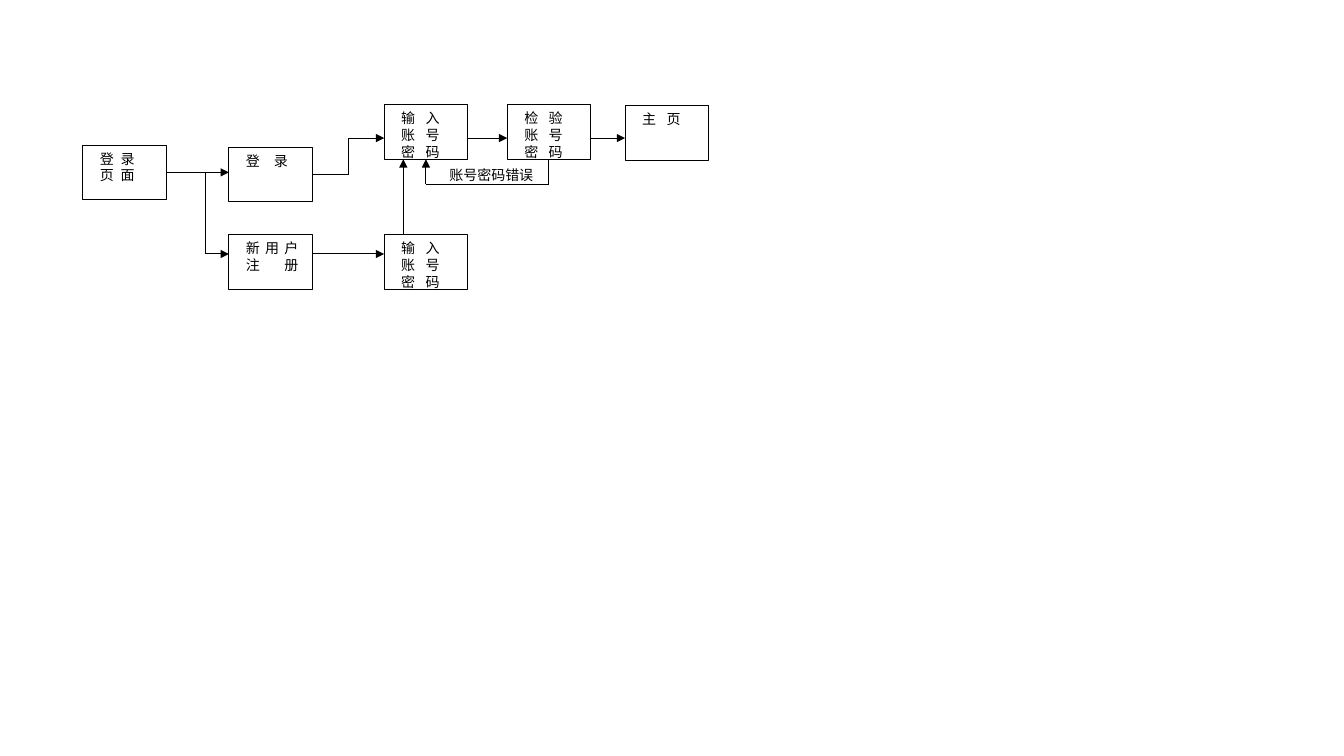
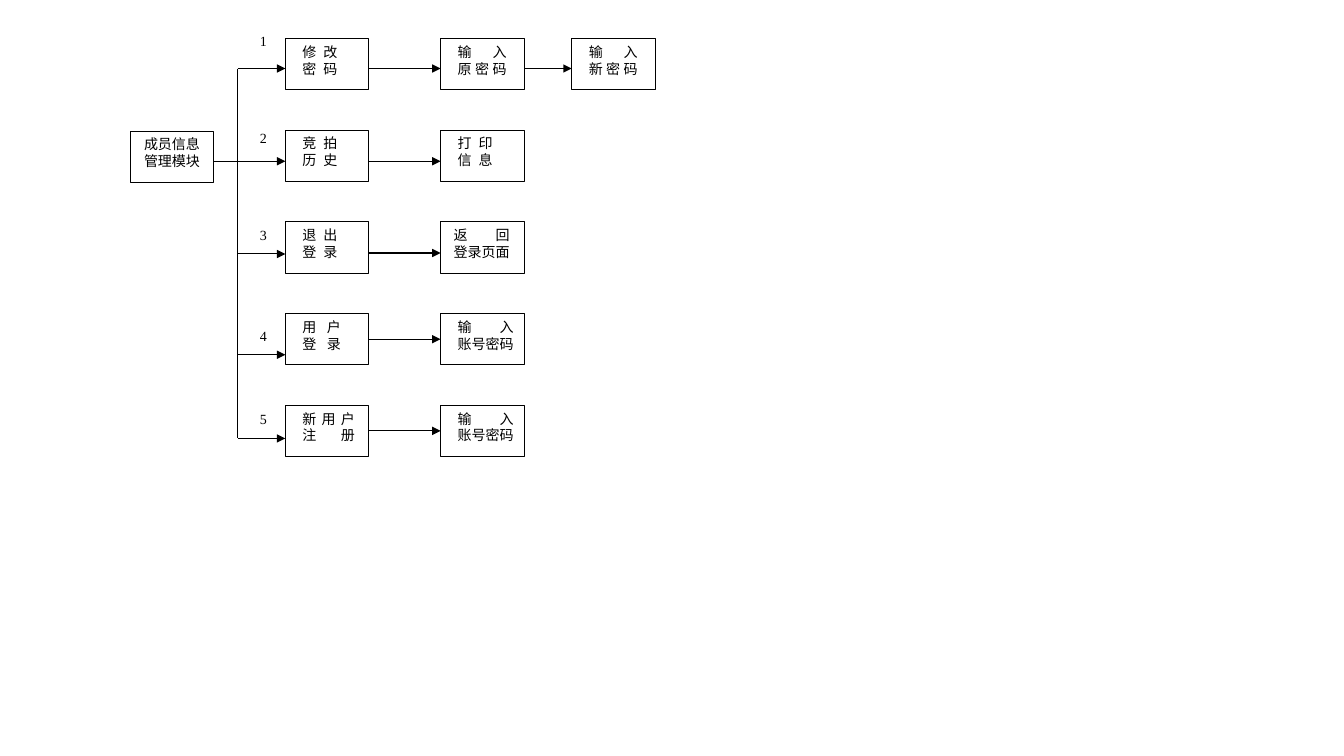
from lxml.etree import SubElement
from pptx import Presentation
from pptx.dml.color import RGBColor
from pptx.enum.shapes import MSO_CONNECTOR, MSO_SHAPE
from pptx.enum.text import MSO_ANCHOR, PP_ALIGN
from pptx.oxml.ns import qn
from pptx.util import Inches, Pt

BLACK, WHITE = "000000", "FFFFFF"
LATIN_FONT, CHINESE_FONT = "Times New Roman", "Noto Sans CJK SC"
TEXT_SIZE, LINE_PITCH, LINE_WIDTH = 10, 12, 0.75
INSET, INDENT = 0.1, 0.17
BOX_WIDTH = 0.83
BOTTOM, LEFT, RIGHT = 2, 1, 3

LOGIN_COLUMNS = (0.82, 2.27, 3.81, 5.03, 6.20)
LOGIN_BOX_HEIGHT = 0.54
CREDENTIALS = (("输入", 7.5), ("账号", 7.5), ("密码", 7.5))
REGISTER = (("新用户", 3.75), ("注册", 17.5))
ENTER_ACCOUNT = (("输入", 20), ("账号密码", 0))

MEMBER_COLUMNS = (1.29, 2.83, 4.37, 5.67)
MEMBER_BOX_HEIGHT = 0.51
FIRST_ROW, ROW_PITCH = 0.38, 0.91
TRUNK = 2.36
MEMBER_ROWS = (
    ((("修改", 5), ("密码", 5)), (("输入", 15), ("原密码", 2.5)), INDENT, 0.27, 0.68, 0.68),
    ((("竞拍", 5), ("历史", 5)), (("打印", 5), ("信息", 5)), INDENT, 1.24, 1.60, 1.60),
    ((("退出", 5), ("登录", 5)), (("返回", 20), ("登录页面", 0)), 0.13, 2.20, 2.52, 2.51),
    ((("用户", 7.5), ("登录", 7.5)), ENTER_ACCOUNT, INDENT, 3.20, 3.52, None),
    (REGISTER, ENTER_ACCOUNT, INDENT, 4.02, 4.35, None),
)


def color(value):
    """Turn a hex string into a colour."""
    return RGBColor.from_string(value)


def style_run(run, gap=0):
    """Format a run, with gap points after each of its characters."""
    run.font.size = Pt(TEXT_SIZE)
    run.font.name = LATIN_FONT
    run.font.color.rgb = color(BLACK)
    properties = run._r.get_or_add_rPr()
    SubElement(properties, qn("a:ea")).set("typeface", CHINESE_FONT)
    if gap:
        properties.set("spc", str(round(gap * 100)))


def write_lines(shape, lines, indent=INSET, align=PP_ALIGN.LEFT):
    """Write lines of (text, gap between characters) from the shape's top."""
    frame = shape.text_frame
    frame.word_wrap = True
    frame.vertical_anchor = MSO_ANCHOR.TOP
    frame.margin_left = Inches(indent)
    frame.margin_right = Inches(INSET if align == PP_ALIGN.CENTER else 0)
    frame.margin_top, frame.margin_bottom = Inches(0.05), 0
    frame.text = "\n".join(text[:-1] if gap else text for text, gap in lines)
    for paragraph, (text, gap) in zip(frame.paragraphs, lines):
        paragraph.alignment = align
        paragraph.line_spacing = Pt(LINE_PITCH)
        style_run(paragraph.runs[0], gap)
        if gap:
            last_run = paragraph.add_run()
            last_run.text = text[-1]
            style_run(last_run)


def add_box(slide, left, top, height, lines, indent=INDENT,
            align=PP_ALIGN.LEFT, width=BOX_WIDTH, outlined=True):
    """Add a white rectangle with text."""
    shape = slide.shapes.add_shape(
        MSO_SHAPE.RECTANGLE, Inches(left), Inches(top), Inches(width), Inches(height))
    shape.shadow.inherit = False
    shape.fill.solid()
    shape.fill.fore_color.rgb = color(WHITE)
    if outlined:
        shape.line.color.rgb = color(BLACK)
        shape.line.width = Pt(LINE_WIDTH)
    else:
        shape.line.fill.background()
    write_lines(shape, lines, indent, align)
    return shape


def add_route(slide, *points, begin=None, end=None, arrow=True):
    """Draw straight lines through the points, joined to (shape, site) ends."""
    connectors = []
    for start, stop in zip(points, points[1:]):
        connector = slide.shapes.add_connector(
            MSO_CONNECTOR.STRAIGHT, *map(Inches, start + stop))
        connector.line.color.rgb = color(BLACK)
        connector.line.width = Pt(LINE_WIDTH)
        SubElement(connector._element.spPr, qn("a:effectLst"))
        connectors.append(connector)
    if begin:
        connectors[0].begin_connect(*begin)
    if end:
        connectors[-1].end_connect(*end)
    if arrow:
        line = connectors[-1].line._get_or_add_ln()
        SubElement(line, qn("a:tailEnd")).set("type", "triangle")


def build_login_slide(slide):
    """Draw the login and registration flow."""
    page, choice, entry, check, home = LOGIN_COLUMNS
    page_box, login_box, entry_box, check_box, *_ = [
        add_box(slide, left, top, LOGIN_BOX_HEIGHT, lines)
        for left, top, lines in (
            (page, 1.44, (("登录", 5), ("页面", 5))),
            (choice, 1.46, (("登录", 10),)),
            (entry, 1.04, CREDENTIALS),
            (check, 1.04, (("检验", 7.5),) + CREDENTIALS[1:]),
            (home, 1.05, (("主页", 7.5),)),
            (choice, 2.33, REGISTER),
            (entry, 2.33, CREDENTIALS),
        )
    ]
    fork, main_line, login_line, register_line = 2.04, 1.37, 1.71, 2.52
    add_route(slide, (page + BOX_WIDTH, login_line), (fork, login_line),
              begin=(page_box, RIGHT), arrow=False)
    add_route(slide, (fork, login_line), (choice, login_line))
    add_route(slide, (fork, login_line), (fork, register_line), (choice, register_line))
    add_route(slide, (choice + BOX_WIDTH, 1.73), (3.46, 1.73), (3.46, main_line),
              (entry, main_line), begin=(login_box, RIGHT))
    for left, right, height in ((entry, check, main_line), (check, home, main_line),
                                (choice, entry, register_line)):
        add_route(slide, (left + BOX_WIDTH, height), (right, height))
    add_route(slide, (4, 2.33), (4, 1.58))

    check_middle, entry_middle = check + BOX_WIDTH / 2, entry + BOX_WIDTH / 2
    add_route(slide, (check_middle, 1.58), (check_middle, 1.83), (entry_middle, 1.83),
              (entry_middle, 1.58), begin=(check_box, BOTTOM), end=(entry_box, BOTTOM))
    label = slide.shapes.add_textbox(*map(Inches, (4.36, 1.6, 1.04, 0.27)))
    write_lines(label, (("账号密码错误", 0),))


def build_member_slide(slide):
    """Draw the member module with its numbered branches."""
    module, action, step, last_step = MEMBER_COLUMNS
    add_box(slide, module, 1.3, MEMBER_BOX_HEIGHT,
            (("成员信息", 0), ("管理模块", 0)), INSET, PP_ALIGN.CENTER)
    trunk_ends = [MEMBER_ROWS[index][4] for index in (0, -1)]
    add_route(slide, *((TRUNK, height) for height in trunk_ends), arrow=False)
    add_route(slide, (module + BOX_WIDTH, 1.6), (TRUNK, 1.6), arrow=False)
    for index, row in enumerate(MEMBER_ROWS):
        action_lines, step_lines, step_indent, number_top, branch, link = row
        top = FIRST_ROW + index * ROW_PITCH
        add_box(slide, 2.48, number_top, 0.3, ((str(index + 1), 0),),
                INSET, width=0.24, outlined=False)
        action_box = add_box(slide, action, top, MEMBER_BOX_HEIGHT, action_lines)
        step_box = add_box(slide, step, top, MEMBER_BOX_HEIGHT, step_lines, step_indent)
        add_route(slide, (TRUNK, branch), (action, branch))
        height = link or top + MEMBER_BOX_HEIGHT / 2
        ends = {} if link else {"begin": (action_box, RIGHT), "end": (step_box, LEFT)}
        add_route(slide, (action + BOX_WIDTH, height), (step, height), **ends)
    add_box(slide, last_step, FIRST_ROW, MEMBER_BOX_HEIGHT, (("输入", 15), ("新密码", 2.5)))
    add_route(slide, (step + BOX_WIDTH, 0.68), (last_step, 0.68))


def main():
    """Build both slides and save them."""
    presentation = Presentation()
    presentation.slide_width, presentation.slide_height = Inches(13.33), Inches(7.5)
    for build in (build_login_slide, build_member_slide):
        build(presentation.slides.add_slide(presentation.slide_layouts[6]))
    presentation.save("out.pptx")


if __name__ == "__main__":
    main()
